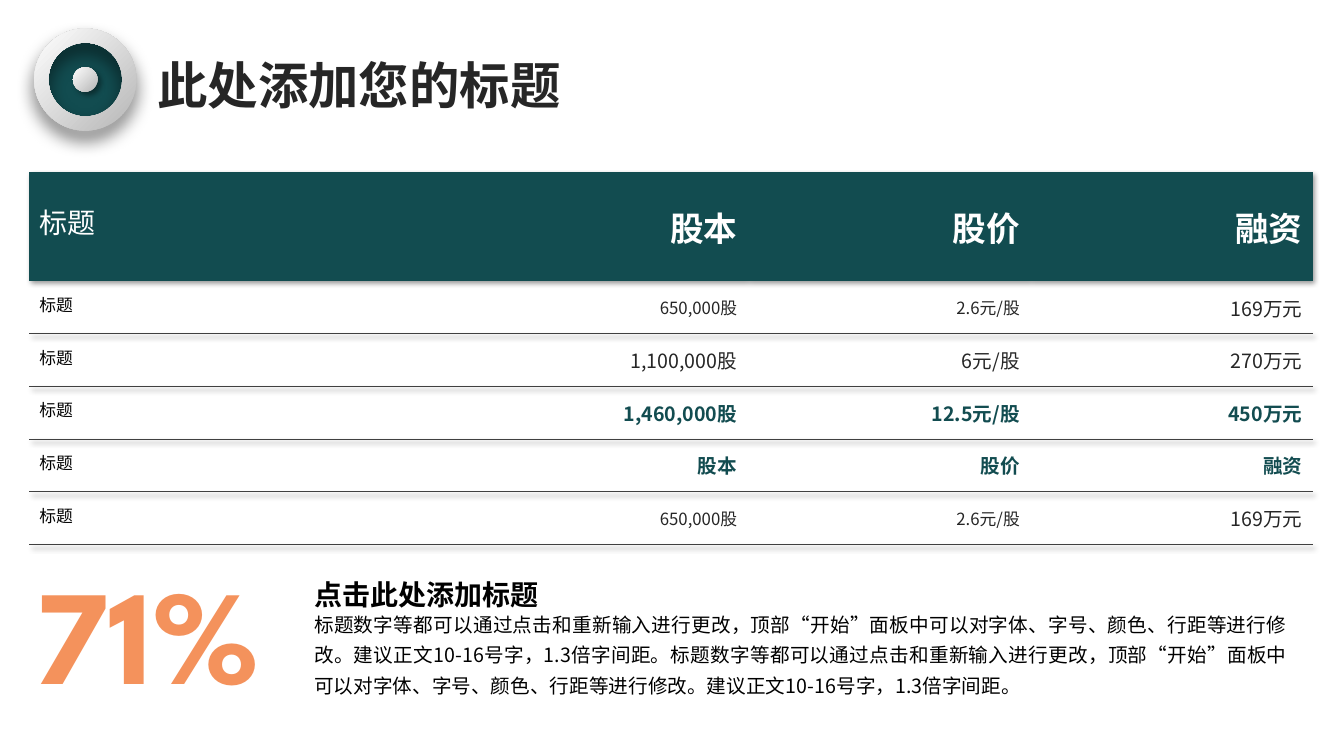
from lxml import etree
from pptx import Presentation
from pptx import util as u
from pptx.dml.color import RGBColor
from pptx.enum import shapes, text
from pptx.oxml import ns

TEAL = RGBColor(0x12, 0x4C, 0x50)
ORANGE = RGBColor(0xF4, 0x92, 0x5C)
INK = RGBColor(0x26, 0x26, 0x26)
RULE = RGBColor(0x40, 0x40, 0x40)
GREY = RGBColor(0xBF, 0xBF, 0xBF)
BLACK = RGBColor(0, 0, 0)
WHITE = RGBColor(255, 255, 255)
SANS = "Noto Sans CJK SC"
SPARTAN = "League Spartan"
PLAIN_TABLE = "{2D5ABB26-0587-4C30-8999-92F81FD0307C}"


def style(size, color, name=SANS, bold=False):
    return {"size": u.Pt(size), "bold": bold, "name": name, "color": color}


TITLE = "此处添加您的标题"
SMALL, NORMAL, STRONG = style(12, INK), style(14, INK), style(14, TEAL, bold=True)
LABEL = style(12, BLACK, SPARTAN)
HEAD = style(24, WHITE, bold=True)
ROWS = [
    (("标题", "股本", "股价", "融资"), (style(20, WHITE, SPARTAN), HEAD, HEAD, HEAD)),
    (("标题", "650,000股", "2.6元/股", "169万元"), (LABEL, SMALL, SMALL, NORMAL)),
    (("标题", "1,100,000股", "6元/股", "270万元"), (LABEL, NORMAL, NORMAL, NORMAL)),
    (("标题", "1,460,000股", "12.5元/股", "450万元"), (LABEL, STRONG, STRONG, STRONG)),
    (("标题", "股本", "股价", "融资"), (LABEL, STRONG, STRONG, STRONG)),
    (("标题", "650,000股", "2.6元/股", "169万元"), (LABEL, SMALL, SMALL, NORMAL)),
]
TIP = ("标题数字等都可以通过点击和重新输入进行更改，顶部“开始”面板中可以对字体、字号、颜色、"
       "行距等进行修改。建议正文10-16号字，1.3倍字间距。")
LEFT, JUSTIFY = text.PP_ALIGN.LEFT, text.PP_ALIGN.JUSTIFY
TEXTS = [
    ("71%", (18, 389.5, 211, 124), style(96, ORANGE, SPARTAN, True), LEFT, 1),
    (TIP * 2, (217.4, 429.1, 709.2, 71.3), style(14, BLACK), JUSTIFY, 1.3),
    ("点击此处添加标题", (217.4, 401.8, 294.5, 38.9), style(20, BLACK, SPARTAN, True), LEFT, 1.3),
]
BADGE_CENTER = (60.9, 56.8)
BADGE = [
    (shapes.MSO_SHAPE.OVAL, 57, None),
    (shapes.MSO_SHAPE.OVAL, 17.6, (40, 4, 3, 45)),
    (shapes.MSO_SHAPE.DONUT, 73, (54, 13, 7, 90)),
]
COLUMNS = [311] + [201.9] * 3
HEIGHTS = [77.8] + [37.6] * 5


def points(values):
    return [u.Pt(value) for value in values]


def add(parent, tag, **values):
    return etree.SubElement(parent, ns.qn(tag), {key: str(value) for key, value in values.items()})


def write(para, words, look, align, spacing=1):
    para.alignment = align
    para.line_spacing = spacing
    span = para.add_run()
    span.text = words
    for key, value in look.items():
        if key == "color":
            span.font.color.rgb = value
        else:
            setattr(span.font, key, value)
    add(span.font._element, "a:ea", typeface=look["name"])


def add_shadow(parent, opacity, blur, distance, angle):
    effects = add(parent, "a:effectLst")
    shadow = add(effects, "a:outerShdw", blurRad=u.Pt(blur), dist=u.Pt(distance),
                 dir=angle * 60000, algn="ctr", rotWithShape=0)
    color = add(shadow, "a:srgbClr", val=BLACK)
    add(color, "a:alpha", val=opacity * 1000)
    return effects


def add_badge(page):
    group = page.shapes.add_group_shape()
    for kind, size, shadow in BADGE:
        corner = [center - size / 2 for center in BADGE_CENTER]
        part = group.shapes.add_shape(kind, *points(corner + [size, size]))
        part.line.fill.background()
        if shadow is None:
            part.shadow.inherit = False
            part.fill.solid()
            part.fill.fore_color.rgb = TEAL
            continue
        part.rotation = 180
        part.fill.gradient()
        part.fill.gradient_angle = 315
        for stop, color, place in zip(part.fill.gradient_stops, (GREY, WHITE), (0.12, 1)):
            stop.color.rgb = color
            stop.position = place
        add_shadow(part._element.spPr, *shadow)
        if kind == shapes.MSO_SHAPE.DONUT:
            part.adjustments[0] = 0.139


def add_border(cell, tag, index):
    line = etree.Element(ns.qn(tag), w=str(u.Pt(1)))
    add(add(line, "a:solidFill"), "a:srgbClr", val=RULE)
    cell._tc.get_or_add_tcPr().insert(index, line)


def add_prices(page):
    frame = page.shapes.add_table(len(ROWS), len(COLUMNS),
                                  *points((20.9, 123.1, sum(COLUMNS), sum(HEIGHTS))))
    table = frame.table
    table.first_row = table.horz_banding = False
    look = table._tbl.tblPr
    look.find(ns.qn("a:tableStyleId")).text = PLAIN_TABLE
    look.insert(0, add_shadow(look, 40, 4, 3, 45))
    for column, width in zip(table.columns, COLUMNS):
        column.width = u.Pt(width)
    for number, (words, looks) in enumerate(ROWS):
        table.rows[number].height = u.Pt(HEIGHTS[number])
        for place, (word, face) in enumerate(zip(words, looks)):
            cell = table.cell(number, place)
            cell.vertical_anchor = text.MSO_ANCHOR.MIDDLE
            write(cell.text_frame.paragraphs[0], word, face,
                  text.PP_ALIGN.RIGHT if place else LEFT)
            if number:
                cell.fill.background()
                add_border(cell, "a:lnB", 0)
            else:
                cell.fill.solid()
                cell.fill.fore_color.rgb = TEAL


def main():
    deck = Presentation()
    deck.slide_width, deck.slide_height = points((960, 540))
    page = deck.slides.add_slide(deck.slide_layouts[5])
    title = page.shapes.title
    title.left, title.top, title.width, title.height = points((105.1, 35.3, 305.3, 51.1))
    title.text_frame.word_wrap = False
    title.text_frame.vertical_anchor = text.MSO_ANCHOR.TOP
    write(title.text_frame.paragraphs[0], TITLE, style(36, INK, bold=True), LEFT)
    add_badge(page)
    add_prices(page)
    for words, place, look, align, spacing in TEXTS:
        box = page.shapes.add_textbox(*points(place))
        box.text_frame.word_wrap = True
        write(box.text_frame.paragraphs[0], words, look, align, spacing)
    deck.save("out.pptx")


if __name__ == "__main__":
    main()
